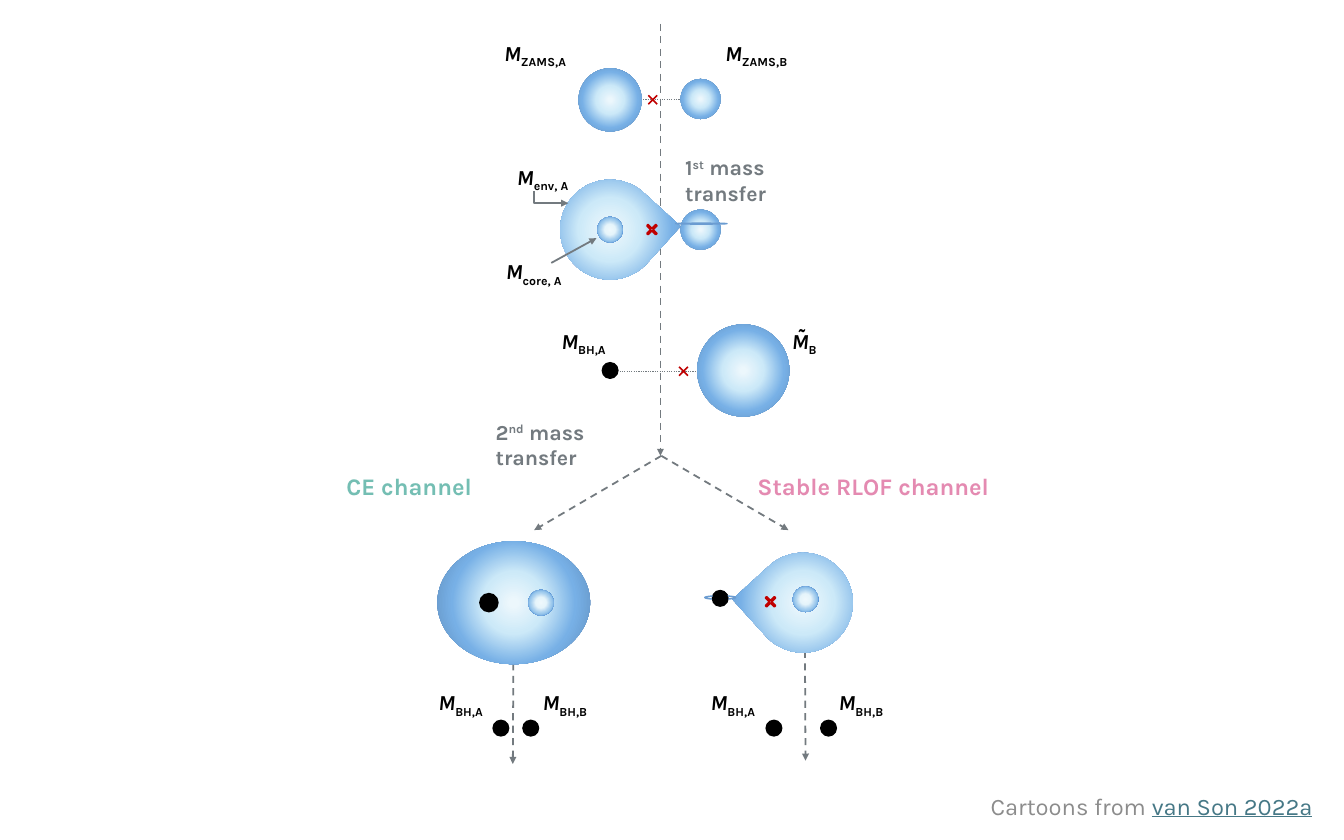
import pptx
import pptx.util
import pptx.oxml
import pptx.oxml.ns
from pptx.dml.color import RGBColor
from pptx.enum.dml import MSO_LINE
from pptx.enum.shapes import MSO_CONNECTOR, MSO_SHAPE
from pptx.enum.text import MSO_ANCHOR, MSO_AUTO_SIZE, PP_ALIGN

WIDTH, HEIGHT = 15.75, 9.84
FONT = "Karla"
BLACK = RGBColor(0x00, 0x00, 0x00)
GRAY = RGBColor(0x73, 0x7A, 0x7F)
RED = RGBColor(0xC0, 0x00, 0x00)
RING = RGBColor(0x6B, 0x9C, 0xD1)
PINK = RGBColor(0xE4, 0x8A, 0xB1)
TEAL = RGBColor(0x74, 0xBE, 0xB3)
CREDIT = RGBColor(0x8C, 0x8C, 0x8C)
CITATION = RGBColor(0x46, 0x78, 0x86)
STAR = ((4, "ECF7FC"), (32, "CCE9F8"), (63, "77B0E6"), (95, "608DBC"))
CORE = ((1, "EEF8FC"), (30, "E6F5FB"), (63, "95C5EC"), (89, "2C72CB"))

AXIS, COL_A, COL_B = 7.74, 7.15, 8.21
CE, STABLE = 6.02, 9.44
ROW_ZAMS, ROW_FIRST, ROW_BH, FORK, ROW_SECOND, ROW_END = 1.17, 2.69, 4.35, 5.34, 7.06, 8.53
FORK_END, LABEL_END, CHANNEL = 6.21, 8.03, 5.48
LABEL_H, DOT, CORE_D, LOBE, COMPANION, CROSS = 0.4, 0.2, 0.3, 1.17, 0.47, 0.2

LINES = [
    ((STABLE - 0.01, 7.04), (STABLE, 8.91), 1.5, MSO_LINE.DASH, True),
    ((CE, 7.04), (CE - 0.01, 8.95), 1.5, MSO_LINE.DASH, True),
    ((COL_A, ROW_BH), (8.71, ROW_BH), 1, MSO_LINE.ROUND_DOT, False),
    ((COL_A, ROW_ZAMS), (8.23, ROW_ZAMS), 1, MSO_LINE.ROUND_DOT, False),
    ((AXIS, 0.28), (AXIS, FORK), 1.5, MSO_LINE.DASH, True),
    ((AXIS + 0.01, FORK), (AXIS - 1.48, FORK_END), 1.5, MSO_LINE.DASH, True),
    ((AXIS + 0.01, FORK), (AXIS + 1.5, FORK_END), 1.5, MSO_LINE.DASH, True),
]
CORE_POINTER = ((6.46, 3.08), (6.99, 2.79), 1.5, None, True)
ENVELOPE_POINTER = [(6.26, 2.24), (6.26, 2.38), (6.66, 2.38)]

LOBES = [(COL_A, ROW_FIRST, 132.3, True), (9.41, ROW_SECOND, 227.7, False)]
ELLIPSES = [
    (COL_A, ROW_ZAMS, 0.74, 0.74, STAR),
    (COL_B, 1.16, COMPANION, COMPANION, STAR),
    (COL_A, ROW_BH - 0.01, DOT, DOT, BLACK),
    (8.71, ROW_BH - 0.01, 1.08, 1.08, STAR),
    (COL_A, ROW_FIRST, CORE_D, CORE_D, CORE),
    (COL_B, ROW_FIRST, COMPANION, COMPANION, STAR),
    (STABLE, 7.02, CORE_D, CORE_D, CORE),
    (8.44, 7.01, DOT, DOT, BLACK),
    (CE, ROW_SECOND, 1.79, 1.44, STAR),
    (5.73, ROW_SECOND, 0.23, 0.23, BLACK),
    (6.34, ROW_SECOND, CORE_D, CORE_D, CORE),
] + [(x, ROW_END, DOT, DOT, BLACK) for x in (5.87, 6.22, 9.07, 9.71)]
RINGS = [(8.22, 2.62, 0.6, 0.01), (8.44, 7.0, 0.36, 0.04)]
CROSSES = [
    (7.65, ROW_ZAMS, False), (8.01, ROW_BH, False),
    (9.03, ROW_SECOND - 0.01, True), (7.64, ROW_FIRST, True),
]

MASSES = [
    (5.81, 0.42, 0.98, "M", "ZAMS,A"), (8.4, 0.42, 0.97, "M", "ZAMS,B"),
    (5.96, 1.87, 0.85, "M", "env, A"), (5.83, 2.98, 0.91, "M", "core, A"),
    (6.48, 3.79, 0.77, "M", "BH,A"), (9.18, 3.79, 0.52, "M̃", "B"),
    (5.04, LABEL_END, 0.77, "M", "BH,A"), (6.26, LABEL_END, 0.76, "M", "BH,B"),
    (8.23, LABEL_END, 0.77, "M", "BH,A"), (9.73, LABEL_END, 0.76, "M", "BH,B"),
]
TRANSFERS = [(7.93, 1.76, "1", "st"), (5.71, 4.86, "2", "nd")]
CHANNELS = [
    (8.61, 3.08, "Stable RLOF channel", PINK, PP_ALIGN.RIGHT),
    (3.96, 1.79, "CE channel", TEAL, PP_ALIGN.LEFT),
]

prs = pptx.Presentation()
prs.slide_width = pptx.util.Inches(WIDTH)
prs.slide_height = pptx.util.Inches(HEIGHT)
s = prs.slides.add_slide(prs.slide_layouts[6])


def emu(*lengths):
    return [pptx.util.Inches(v) for v in lengths]


def xml(body):
    return pptx.oxml.parse_xml(body.replace(">", " " + pptx.oxml.ns.nsdecls("a") + ">", 1))


def style_line(sp, color, width, dash=None, arrow=False):
    sp.line.color.rgb = color
    sp.line.width = pptx.util.Pt(width)
    if dash:
        sp.line.dash_style = dash
    if arrow:
        sp.line._get_or_add_ln().append(xml('<a:tailEnd type="triangle"></a:tailEnd>'))


def connect(start, end, width, dash, arrow):
    sp = s.shapes.add_connector(MSO_CONNECTOR.STRAIGHT, *emu(*start, *end))
    style_line(sp, GRAY, width, dash, arrow)
    sp.element.spPr.append(xml("<a:effectLst></a:effectLst>"))


def add_body(kind, cx, cy, w, h, fill=None, rotation=0, flip=False):
    sp = s.shapes.add_shape(kind, *emu(cx - w / 2, cy - h / 2, w, h))
    sp.rotation = rotation
    if flip:
        sp.element.spPr.xfrm.set("flipH", "1")
    if isinstance(fill, tuple) and not isinstance(fill, RGBColor):
        stops = "".join(
            f'<a:gs pos="{pos * 1000}"><a:srgbClr val="{color}"/></a:gs>' for pos, color in fill)
        sp.element.spPr.append(xml(
            f'<a:gradFill rotWithShape="1"><a:gsLst>{stops}</a:gsLst><a:path path="circle">'
            '<a:fillToRect l="50000" t="50000" r="50000" b="50000"/></a:path></a:gradFill>'))
    elif fill is not None:
        sp.fill.solid()
        sp.fill.fore_color.rgb = fill
    else:
        sp.fill.background()
    sp.line.fill.background()
    sp.shadow.inherit = False
    return sp


def add_text(x, y, w, h, runs, size=18, color=BLACK, bold=True, wrap=True,
             align=PP_ALIGN.LEFT, anchor=MSO_ANCHOR.TOP):
    tf = s.shapes.add_textbox(*emu(x, y, w, h)).text_frame
    tf.word_wrap = wrap
    tf.auto_size = MSO_AUTO_SIZE.NONE
    tf.vertical_anchor = anchor
    p = tf.paragraphs[0]
    p.alignment = align
    for text, fmt in runs:
        r = p.add_run()
        r.text = text
        r.font.name, r.font.size, r.font.bold = FONT, pptx.util.Pt(size), bold
        r.font.italic = fmt.get("italic", False)
        r.font.underline = fmt.get("underline", False)
        r.font.color.rgb = fmt.get("color", color)
        if "baseline" in fmt:
            r.font._element.set("baseline", str(fmt["baseline"] * 1000))


for line in LINES:
    connect(*line)
for cx, cy, rotation, flip in LOBES:
    add_body(MSO_SHAPE.TEAR, cx, cy, LOBE, LOBE, STAR, rotation, flip)
for ellipse in ELLIPSES:
    add_body(MSO_SHAPE.OVAL, *ellipse)
for ring in RINGS:
    style_line(add_body(MSO_SHAPE.OVAL, *ring), RING, 1.25)
front = add_body(MSO_SHAPE.CHORD, 8.44, 7.01, 0.19, 0.19, BLACK, 119.2)
front.adjustments[0], front.adjustments[1] = 27, 154.104

connect(*CORE_POINTER)
points = [emu(*point) for point in ENVELOPE_POINTER]
builder = s.shapes.build_freeform(*points[0])
builder.add_line_segments(points[1:], close=False)
pointer = builder.convert_to_shape()
pointer.fill.background()
pointer.shadow.inherit = False
style_line(pointer, GRAY, 1.5, arrow=True)

for cx, cy, outlined in CROSSES:
    cross = add_body(MSO_SHAPE.MATH_MULTIPLY, cx, cy, CROSS, CROSS, None if outlined else RED)
    cross.adjustments[0] = 0.094
    if outlined:
        style_line(cross, RED, 1.5)

for x, y, w, symbol, index in MASSES:
    add_text(x, y, w, LABEL_H, [(symbol, {"italic": True}), (index, {"baseline": -25})], wrap=False)
for x, y, number, suffix in TRANSFERS:
    add_text(x, y, 1.98, LABEL_H,
             [(number, {}), (suffix, {"baseline": 30}), (" mass transfer", {})], color=GRAY)
for x, w, name, color, align in CHANNELS:
    add_text(x, CHANNEL, w, 0.44, [(name, {})], size=20, color=color, align=align)
add_text(10.98, 9.24, 4.5, LABEL_H,
         [("Cartoons from ", {}), ("van Son 2022a", {"color": CITATION, "underline": True})],
         size=20, color=CREDIT, bold=False, align=PP_ALIGN.RIGHT, anchor=MSO_ANCHOR.MIDDLE)

prs.save("out.pptx")
